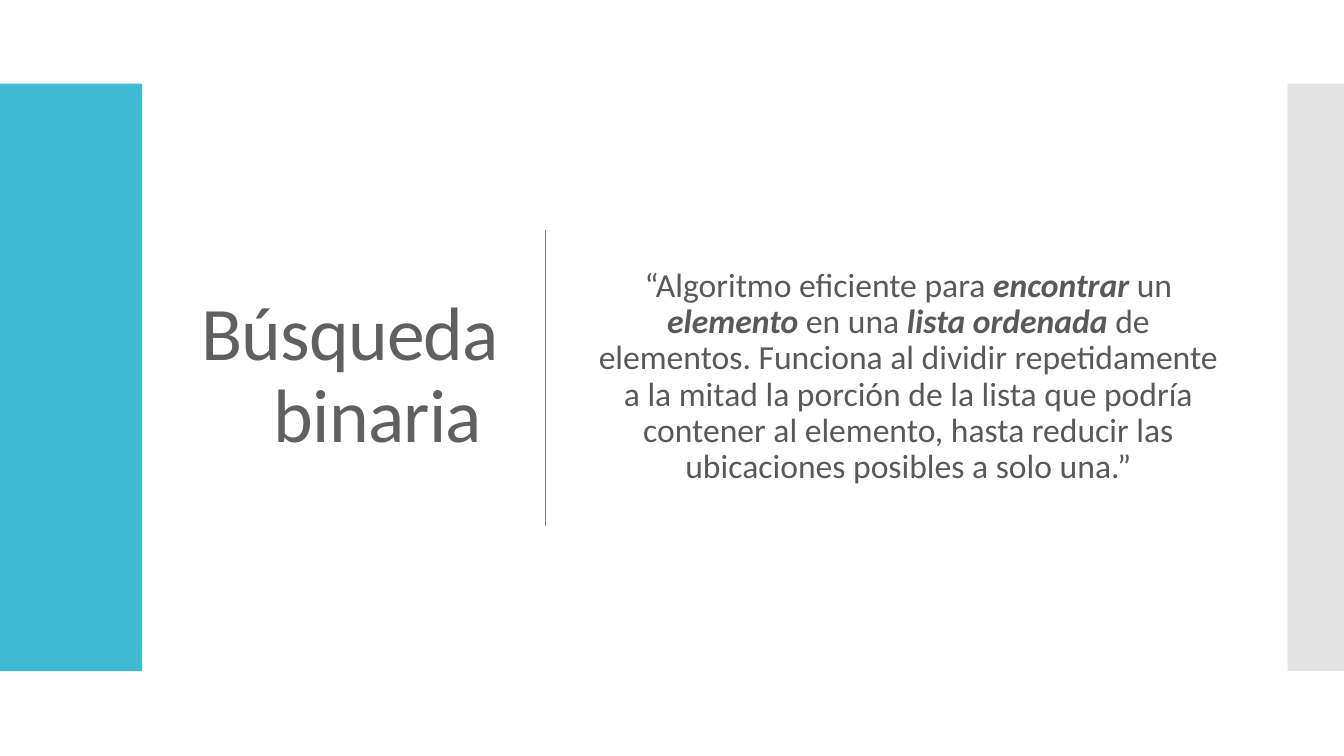
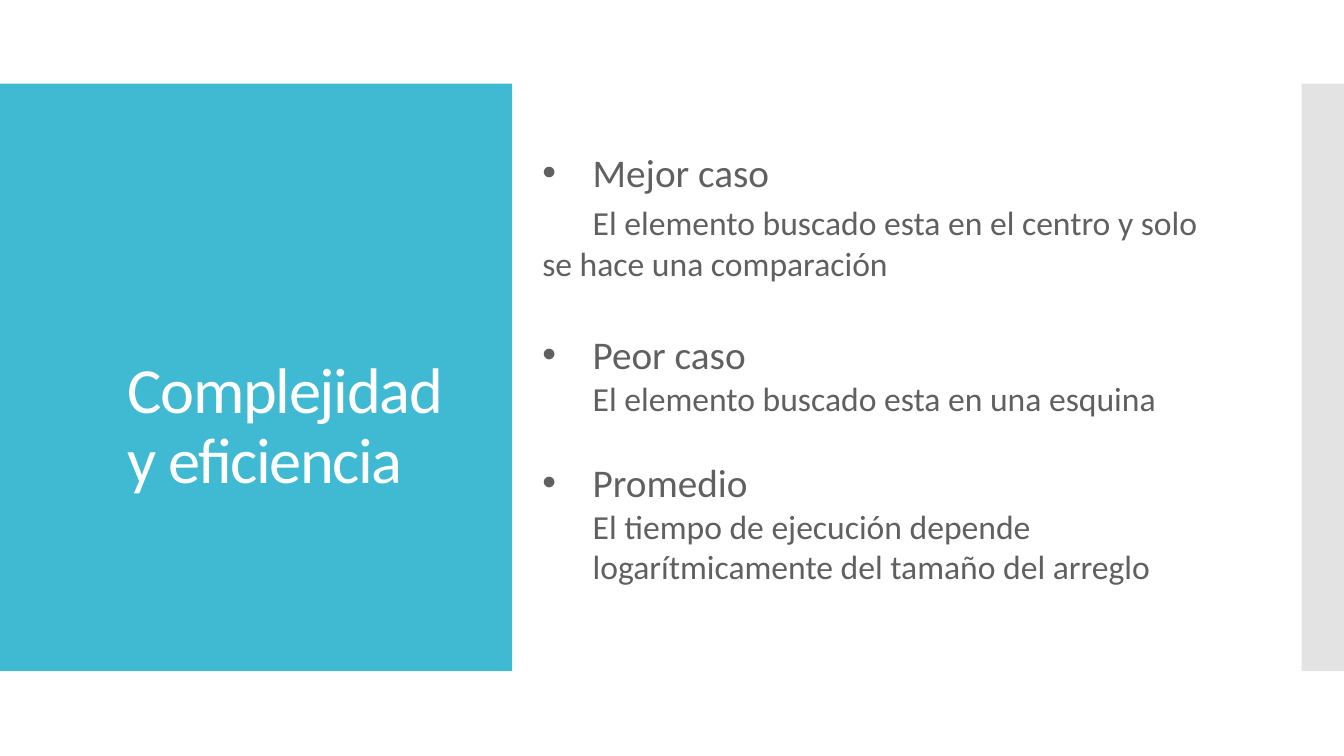
from lxml import etree
from pptx import Presentation
from pptx.dml.color import RGBColor
from pptx.enum.shapes import MSO_CONNECTOR, MSO_SHAPE
from pptx.enum.text import MSO_ANCHOR, PP_ALIGN
from pptx.oxml.ns import qn
from pptx.util import Inches, Pt

RECT = MSO_SHAPE.RECTANGLE
LINE = MSO_CONNECTOR.STRAIGHT
TOP, MIDDLE, BOTTOM = MSO_ANCHOR.TOP, MSO_ANCHOR.MIDDLE, MSO_ANCHOR.BOTTOM
LEFT, CENTER, RIGHT = PP_ALIGN.LEFT, PP_ALIGN.CENTER, PP_ALIGN.RIGHT

FONT = "Calibri"
TEAL, SILVER, WHITE = "40BAD2", "C8C8C8", "FFFFFF"
GRAY, DARK, RULE = "606060", "595959", "808080"
WIDTH, HEIGHT = 13.33, 7.5
BAND_TOP, BAND_HIGH = 0.83, 5.83
INDENT = 0.5

QUOTE = [
    ("“Algoritmo eficiente para ", False),
    ("encontrar", True),
    (" un ", False),
    ("elemento", True),
    (" en una ", False),
    ("lista ordenada", True),
    (" de elementos. Funciona al dividir repetidamente a la mitad la "
     "porción de la lista que podría contener al elemento, hasta reducir "
     "las ubicaciones posibles a solo una.”", False),
]

# Heading, detail, gap above heading, gap above detail, detail margin
CASES = [
    ("Mejor caso", "El elemento buscado esta en el centro y solo "
     "se hace una comparación", 0, 5, 0),
    ("Peor caso", "El elemento buscado esta en una esquina", 34, 0, INDENT),
    ("Promedio", "El tiempo de ejecución depende logarítmicamente "
     "del tamaño del arreglo", 29, 0, INDENT),
]


def color(code):
    return RGBColor.from_string(code)


def band(slide, left, wide, code, alpha=None):
    shape = slide.shapes.add_shape(
        RECT, Inches(left), Inches(BAND_TOP), Inches(wide), Inches(BAND_HIGH))
    shape.shadow.inherit = False
    shape.line.fill.background()
    shape.fill.solid()
    shape.fill.fore_color.rgb = color(code)
    if alpha:
        tint = shape.fill._xPr.find(".//" + qn("a:srgbClr"))
        etree.SubElement(tint, qn("a:alpha"), val=str(alpha * 1000))


def bands(slide, left, right):
    """Teal band on the left edge, pale band on the right edge."""
    band(slide, 0, left, TEAL)
    band(slide, WIDTH - right, right, SILVER, 50)


def rule(slide, x, top, end):
    line = slide.shapes.add_connector(
        LINE, Inches(x), Inches(top), Inches(x), Inches(end))
    line.line.color.rgb = color(RULE)
    line.line.width = Pt(1)
    etree.SubElement(line._element.spPr, qn("a:effectLst"))


def box(slide, left, top, wide, high, anchor):
    frame = slide.shapes.add_textbox(
        Inches(left), Inches(top), Inches(wide), Inches(high)).text_frame
    frame.word_wrap = True
    frame.vertical_anchor = anchor
    return frame


def add_run(para, text, size, code, strong=False, track=0):
    run = para.add_run()
    run.text = text
    font = run.font
    font.name, font.size = FONT, Pt(size)
    font.color.rgb = color(code)
    font.bold = font.italic = strong
    if track:
        run._r.get_or_add_rPr().set("spc", str(round(track * 100)))


def title(slide, place, text, size, code, track, anchor, align):
    para = box(slide, *place, anchor).paragraphs[0]
    para.alignment = align
    para.line_spacing = 0.9
    add_run(para, text, size, code, track=track)


def item(para, text, size, gap, margin, first, bullet=False):
    """One list paragraph; margin and first-line indent in inches."""
    para.alignment = LEFT
    para.space_before = Pt(gap)
    props = para._p.get_or_add_pPr()
    props.set("marL", str(Inches(margin)))
    props.set("indent", str(Inches(first)))
    if bullet:
        etree.SubElement(props, qn("a:buFont"), typeface="Arial")
        etree.SubElement(props, qn("a:buChar"), char="•")
    add_run(para, text, size, GRAY)


def search(slide):
    bands(slide, 1.41, 0.56)
    title(slide, (1.68, 0.94, 3.36, 5.6), "Búsqueda binaria ",
          54, GRAY, -0.6, MIDDLE, RIGHT)
    rule(slide, 5.41, 2.28, 5.22)
    # Definition
    para = box(slide, 5.78, 0.94, 6.46, 5.6, MIDDLE).paragraphs[0]
    para.alignment = CENTER
    para.line_spacing = 0.9
    para.space_before = Pt(12)
    for text, strong in QUOTE:
        add_run(para, text, 24, DARK, strong)


def cost(slide):
    bands(slide, 5.08, 0.42)
    title(slide, (1.17, 1.42, 3.56, 3.56), "Complejidad y eficiencia",
          46, WHITE, -1, BOTTOM, LEFT)
    # Cases
    frame = box(slide, 5.28, 1.42, 7.01, 4.48, TOP)
    frame.margin_right = Inches(0.2)
    para = frame.paragraphs[0]
    for head, text, above, gap, margin in CASES:
        if para is None:
            para = frame.add_paragraph()
        item(para, head, 28, above, INDENT, -INDENT, bullet=True)
        item(frame.add_paragraph(), text, 24, gap, margin, INDENT - margin)
        para = None


def main():
    deck = Presentation()
    deck.slide_width, deck.slide_height = Inches(WIDTH), Inches(HEIGHT)
    blank = deck.slide_layouts[6]
    for build in (search, cost):
        build(deck.slides.add_slide(blank))
    deck.save("out.pptx")


main()
